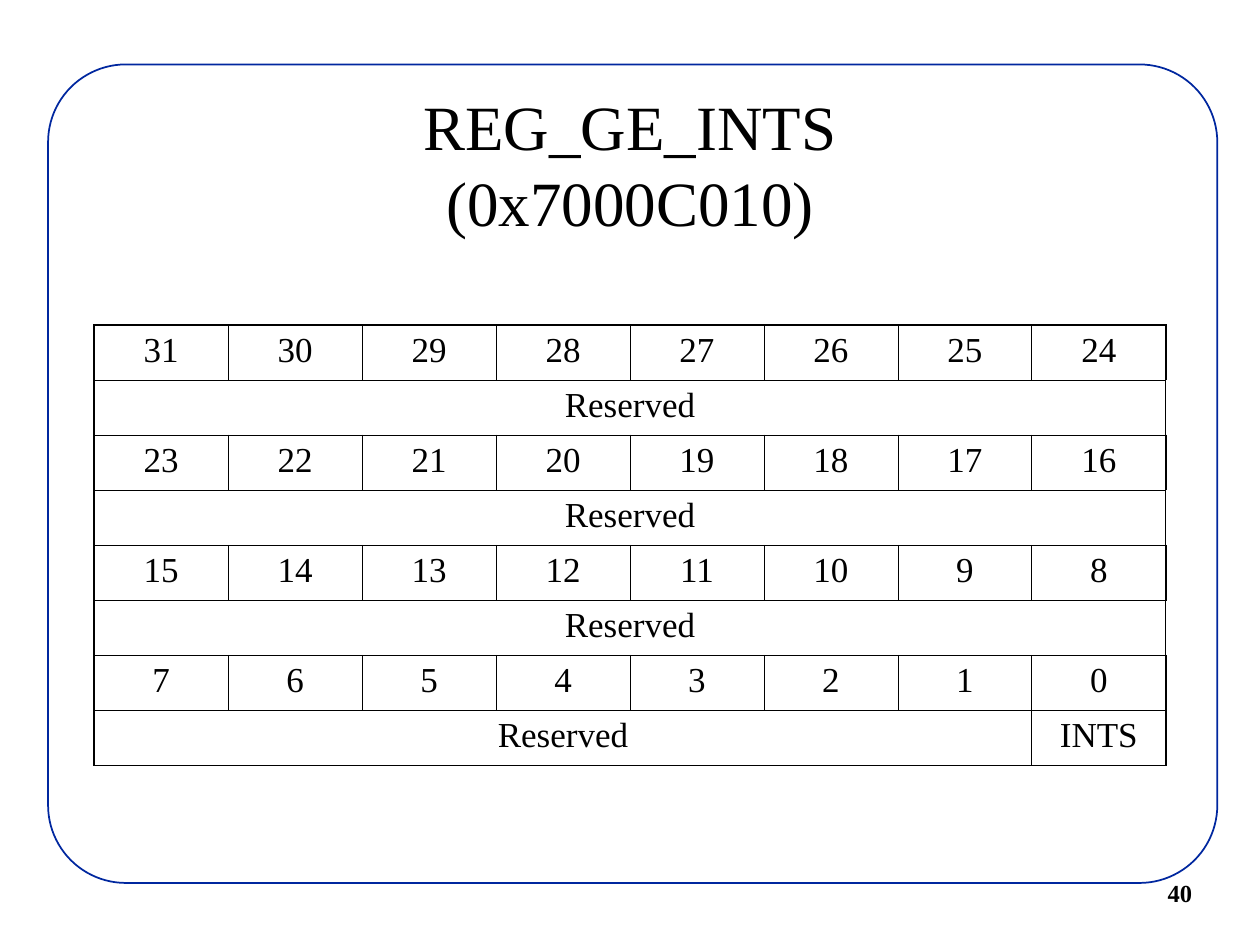
from dataclasses import dataclass

import pptx
import pptx.dml.color
import pptx.enum.shapes
import pptx.enum.text
import pptx.oxml.ns
import pptx.util
from lxml import etree
from pptx.util import Cm, Pt

FONT = "Times New Roman"
BLACK, WHITE, BLUE = "000000", "FFFFFF", "00279F"
BITS = 8
ROW_HEIGHT = Cm(1.11)
OUTER, INNER = Pt(1.08), Pt(0.45)
CENTER = pptx.enum.text.PP_ALIGN.CENTER
LEFT = pptx.enum.text.PP_ALIGN.LEFT


@dataclass
class Field:
    name: str
    first: int
    last: int


@dataclass
class RegisterByte:
    high_bit: int
    fields: list[Field]


RESERVED = Field("Reserved", 0, 7)
REGISTER = [
    RegisterByte(31, [RESERVED]),
    RegisterByte(23, [RESERVED]),
    RegisterByte(15, [RESERVED]),
    RegisterByte(7, [Field("Reserved", 0, 6), Field("INTS", 7, 7)]),
]


def color(value: str) -> pptx.dml.color.RGBColor:
    return pptx.dml.color.RGBColor.from_string(value)


def write(paragraph, text: str, size: int, align, bold: bool = False) -> None:
    paragraph.text = text
    paragraph.alignment = align
    for run in paragraph.runs:
        run.font.name = FONT
        run.font.size = Pt(size)
        run.font.bold = bold
        run.font.color.rgb = color(BLACK)


def add_label(slide, left, top, width, height, text: str, size: int, align, bold: bool = False):
    label = slide.shapes.add_textbox(left, top, width, height)
    label.text_frame.word_wrap = True
    write(label.text_frame.paragraphs[0], text, size, align, bold)
    return label


def set_borders(cell, row: int, column: int, row_count: int) -> None:
    """Thick lines on the table's outside, thin lines within."""
    outside = {
        "a:lnL": column == 0,
        "a:lnR": column == BITS - 1,
        "a:lnT": row == 0,
        "a:lnB": row == row_count - 1,
    }
    qn = pptx.oxml.ns.qn
    properties = cell._tc.get_or_add_tcPr()
    for position, (tag, is_outer) in enumerate(outside.items()):
        line = etree.Element(qn(tag), w=str(OUTER if is_outer else INNER))
        fill = etree.SubElement(line, qn("a:solidFill"))
        etree.SubElement(fill, qn("a:srgbClr"), val=BLACK)
        properties.insert(position, line)


def add_register_table(slide, register: list[RegisterByte]) -> None:
    row_count = 2 * len(register)
    table = slide.shapes.add_table(
        row_count, BITS, Cm(1.9), Cm(6.55), Cm(21.6), ROW_HEIGHT * row_count).table
    table.first_row = table.horz_banding = False

    for row in range(row_count):
        table.rows[row].height = ROW_HEIGHT
        for column in range(BITS):
            cell = table.cell(row, column)
            cell.fill.background()
            set_borders(cell, row, column, row_count)

    # Bit numbers, with the fields they belong to below
    for index, byte in enumerate(register):
        for column in range(BITS):
            number = table.cell(2 * index, column)
            write(number.text_frame.paragraphs[0], str(byte.high_bit - column), 20, CENTER)
        for field in byte.fields:
            cell = table.cell(2 * index + 1, field.first)
            if field.last > field.first:
                cell.merge(table.cell(2 * index + 1, field.last))
            write(cell.text_frame.paragraphs[0], field.name, 20, CENTER)


def main() -> None:
    deck = pptx.Presentation()
    deck.slide_width, deck.slide_height = Cm(25.4), Cm(19.05)
    slide = deck.slides.add_slide(deck.slide_layouts[6])

    # Rounded frame
    frame = slide.shapes.add_shape(
        pptx.enum.shapes.MSO_SHAPE.ROUNDED_RECTANGLE, Cm(0.97), Cm(1.3), Cm(23.57), Cm(16.5))
    frame.adjustments[0] = 0.095
    frame.shadow.inherit = False
    frame.fill.solid()
    frame.fill.fore_color.rgb = color(WHITE)
    frame.line.color.rgb = color(BLUE)
    frame.line.width = Pt(1)

    # Page number
    add_label(slide, Cm(23.29), Cm(17.58), Cm(2.1), Cm(0.84), "40", 14, LEFT, bold=True)

    # Title
    title = add_label(slide, Cm(1.9), Cm(1.7), Cm(21.6), Cm(3.18),
                      "REG_GE_INTS\n(0x7000C010)", 36, CENTER)
    title.text_frame.vertical_anchor = pptx.enum.text.MSO_ANCHOR.MIDDLE

    # Register layout
    add_register_table(slide, REGISTER)

    deck.save("out.pptx")


if __name__ == "__main__":
    main()
